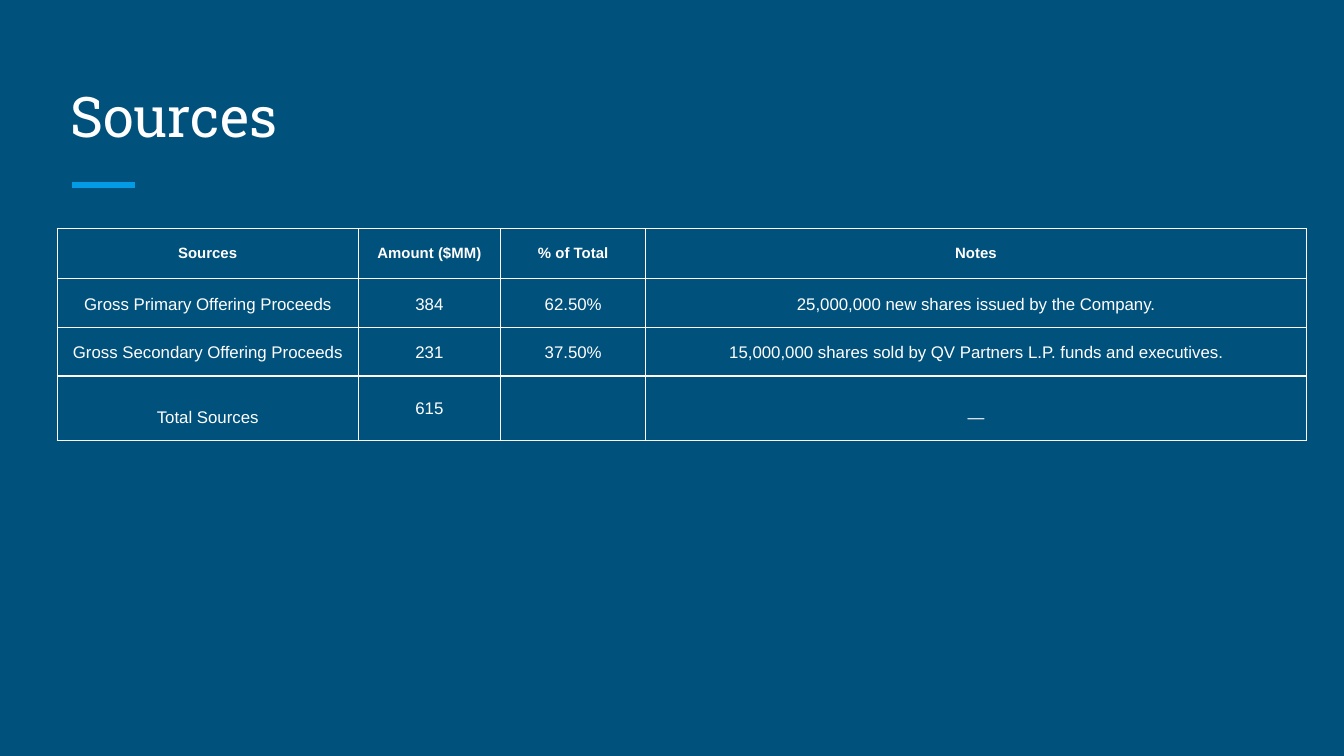
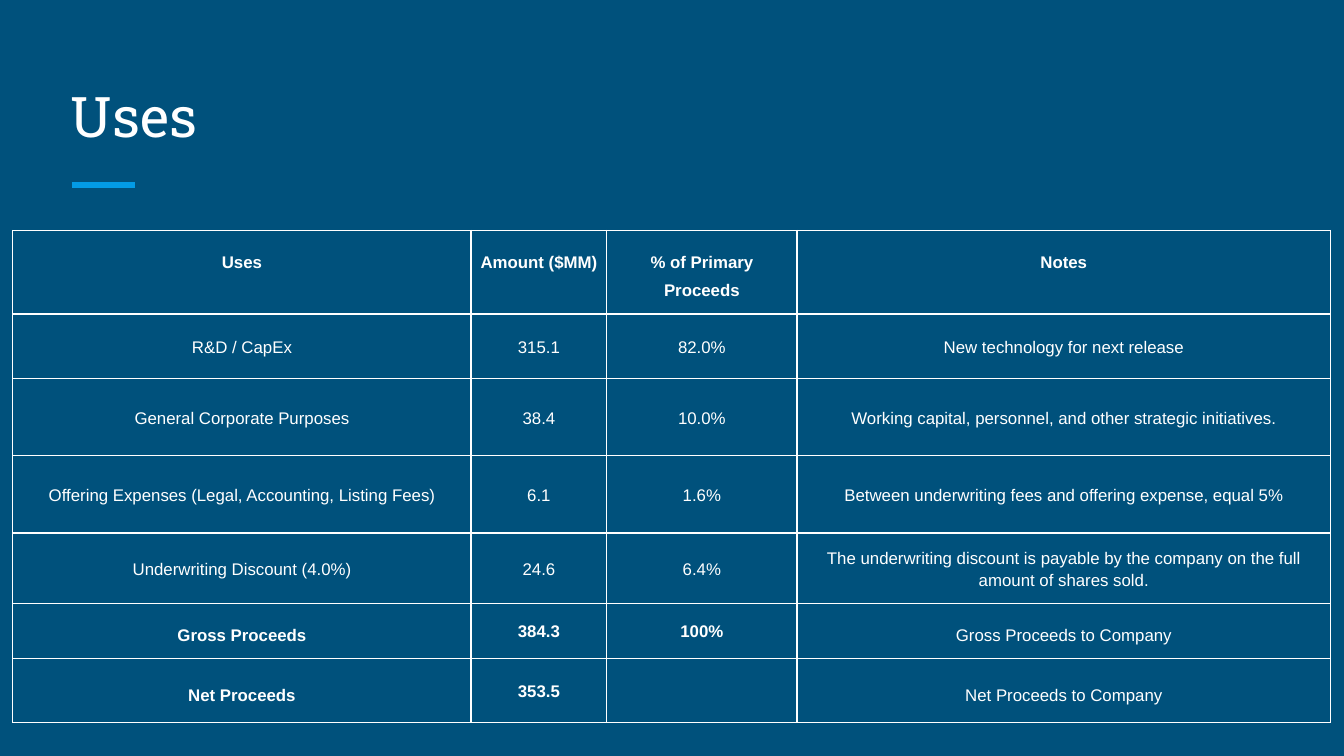
from dataclasses import dataclass

from lxml import etree
from pptx import Presentation
from pptx import util as u
from pptx.dml.color import RGBColor
from pptx.enum import shapes, text
from pptx.oxml import ns

NAVY = RGBColor(0x00, 0x51, 0x7C)
SKY = RGBColor(0x03, 0x9B, 0xE5)
WHITE = RGBColor(0xFF, 0xFF, 0xFF)
TITLE_FONT = "Roboto Slab"
TABLE_FONT = "Arial"

SLIDE_WIDTH = u.Inches(10)
SLIDE_HEIGHT = u.Emu(SLIDE_WIDTH * 9 // 16)
GRID_COLUMNS = 100
TITLE_ONLY_LAYOUT = 5


def grid(units: float) -> u.Emu:
    """Length of a number of square grid units, 100 of which span the slide."""
    return u.Emu(round(SLIDE_WIDTH * units / GRID_COLUMNS))


@dataclass(frozen=True)
class CellStyle:
    anchor: text.MSO_ANCHOR = text.MSO_ANCHOR.MIDDLE
    spacing: float = 1.15
    bold: bool = False


@dataclass(frozen=True)
class Row:
    """A label, two figures and a note, with a style for each of the three parts."""
    height: float
    texts: tuple[str, str, str, str]
    label: CellStyle
    figures: CellStyle
    notes: CellStyle

    @property
    def styles(self) -> tuple[CellStyle, ...]:
        return self.label, self.figures, self.figures, self.notes


@dataclass(frozen=True)
class TableSlide:
    title: str
    left: float
    top: float
    columns: tuple[float, ...]
    rows: tuple[Row, ...]
    header_size: float
    body_size: float = 9


def uniform_row(height: float, style: CellStyle, *texts: str) -> Row:
    return Row(height, texts, style, style, style)


def proceeds_row(height: float, *texts: str) -> Row:
    return Row(height, texts, CellStyle(spacing=1.5, bold=True),
               CellStyle(bold=True), CellStyle(spacing=1.5))


SOURCES_HEADER = CellStyle(text.MSO_ANCHOR.TOP, bold=True)
USES_HEADER = CellStyle(text.MSO_ANCHOR.TOP, 1.5, True)
BOTTOM = CellStyle(text.MSO_ANCHOR.BOTTOM)
MIDDLE = CellStyle()

SLIDES = (
    TableSlide(
        "Sources", 4.25, 17, (22.4, 10.6, 10.8, 49.15),
        (
            uniform_row(3.75, SOURCES_HEADER, "Sources", "Amount ($MM)", "% of Total", "Notes"),
            uniform_row(3.6, BOTTOM, "Gross Primary Offering Proceeds", "384", "62.50%",
                        "25,000,000 new shares issued by the Company."),
            uniform_row(3.6, BOTTOM, "Gross Secondary Offering Proceeds", "231", "37.50%",
                        "15,000,000 shares sold by QV Partners L.P. funds and executives."),
            Row(4.8, ("Total Sources", "615", "", "—"), BOTTOM, CellStyle(spacing=1), BOTTOM),
        ),
        header_size=8,
    ),
    TableSlide(
        "Uses", 0.95, 17.15, (34.1, 10.1, 14.15, 39.7),
        (
            uniform_row(6.2, USES_HEADER, "Uses", "Amount ($MM)", "% of Primary Proceeds", "Notes"),
            uniform_row(4.8, MIDDLE, "R&D / CapEx", "315.1", "82.0%",
                        "New technology for next release"),
            uniform_row(5.75, MIDDLE, "General Corporate Purposes", "38.4", "10.0%",
                        "Working capital, personnel, and other strategic initiatives."),
            uniform_row(5.75, MIDDLE, "Offering Expenses (Legal, Accounting, Listing Fees)",
                        "6.1", "1.6%",
                        "Between underwriting fees and offering expense, equal 5%"),
            uniform_row(5.2, MIDDLE, "Underwriting Discount (4.0%)", "24.6", "6.4%",
                        "The underwriting discount is payable by the company on the full "
                        "amount of shares sold."),
            proceeds_row(4.1, "Gross Proceeds", "384.3", "100%", "Gross Proceeds to Company"),
            proceeds_row(4.8, "Net Proceeds", "353.5", "", "Net Proceeds to Company"),
        ),
        header_size=9,
    ),
)


def format_font(font, name: str, size: float, bold: bool = False) -> None:
    font.name = name
    font.size = u.Pt(size)
    font.bold = bold
    font.color.rgb = WHITE


def add_title(slide, wording: str) -> None:
    title = slide.shapes.title
    title.left, title.top, title.width, title.height = map(grid, (4.25, 4.8, 91.5, 7.5))
    frame = title.text_frame
    frame.text = wording
    frame.word_wrap = True
    frame.auto_size = text.MSO_AUTO_SIZE.NONE
    frame.vertical_anchor = text.MSO_ANCHOR.MIDDLE
    frame.margin_left = frame.margin_right = grid(1)
    frame.margin_top = frame.margin_bottom = grid(1)
    paragraph = frame.paragraphs[0]
    paragraph.alignment = text.PP_ALIGN.LEFT
    format_font(paragraph.runs[0].font, TITLE_FONT, 30)


def add_accent(slide) -> None:
    """Draw the short rule under the title."""
    accent = slide.shapes.add_connector(
        shapes.MSO_CONNECTOR.STRAIGHT, *map(grid, (5.35, 13.75, 10.05, 13.75)))
    accent.line.color.rgb = SKY
    accent.line.width = u.Pt(3)
    properties = accent.element.find(ns.qn("p:spPr"))
    etree.SubElement(properties, ns.qn("a:effectLst"))


def add_borders(cell) -> None:
    properties = cell._tc.get_or_add_tcPr()
    for position, side in enumerate(("lnL", "lnR", "lnT", "lnB")):
        border = etree.Element(ns.qn(f"a:{side}"), w=str(u.Pt(0.75)))
        fill = etree.SubElement(border, ns.qn("a:solidFill"))
        etree.SubElement(fill, ns.qn("a:srgbClr"), val=str(WHITE))
        properties.insert(position, border)


def fill_cell(cell, wording: str, style: CellStyle, size: float) -> None:
    cell.text_frame.text = wording
    cell.vertical_anchor = style.anchor
    cell.margin_left = cell.margin_right = grid(0.3)
    cell.margin_top = cell.margin_bottom = grid(1)
    cell.fill.background()
    add_borders(cell)
    paragraph = cell.text_frame.paragraphs[0]
    paragraph.alignment = text.PP_ALIGN.CENTER
    paragraph.line_spacing = style.spacing
    if paragraph.runs:
        format_font(paragraph.runs[0].font, TABLE_FONT, size, style.bold)
    else:
        format_font(paragraph.font, TABLE_FONT, size)


def add_money_table(slide, content: TableSlide) -> None:
    table = slide.shapes.add_table(
        len(content.rows), len(content.columns),
        grid(content.left), grid(content.top),
        grid(sum(content.columns)), grid(sum(row.height for row in content.rows)),
    ).table
    table.first_row = table.horz_banding = False
    for column, width in zip(table.columns, content.columns):
        column.width = grid(width)
    for index, (line, row) in enumerate(zip(table.rows, content.rows)):
        line.height = grid(row.height)
        size = content.body_size if index else content.header_size
        for cell, wording, style in zip(line.cells, row.texts, row.styles):
            fill_cell(cell, wording, style, size)


def main() -> None:
    deck = Presentation()
    deck.slide_width, deck.slide_height = SLIDE_WIDTH, SLIDE_HEIGHT
    background = deck.slide_master.background.fill
    background.solid()
    background.fore_color.rgb = NAVY
    for content in SLIDES:
        slide = deck.slides.add_slide(deck.slide_layouts[TITLE_ONLY_LAYOUT])
        add_title(slide, content.title)
        add_accent(slide)
        add_money_table(slide, content)
    deck.save("out.pptx")


if __name__ == "__main__":
    main()
